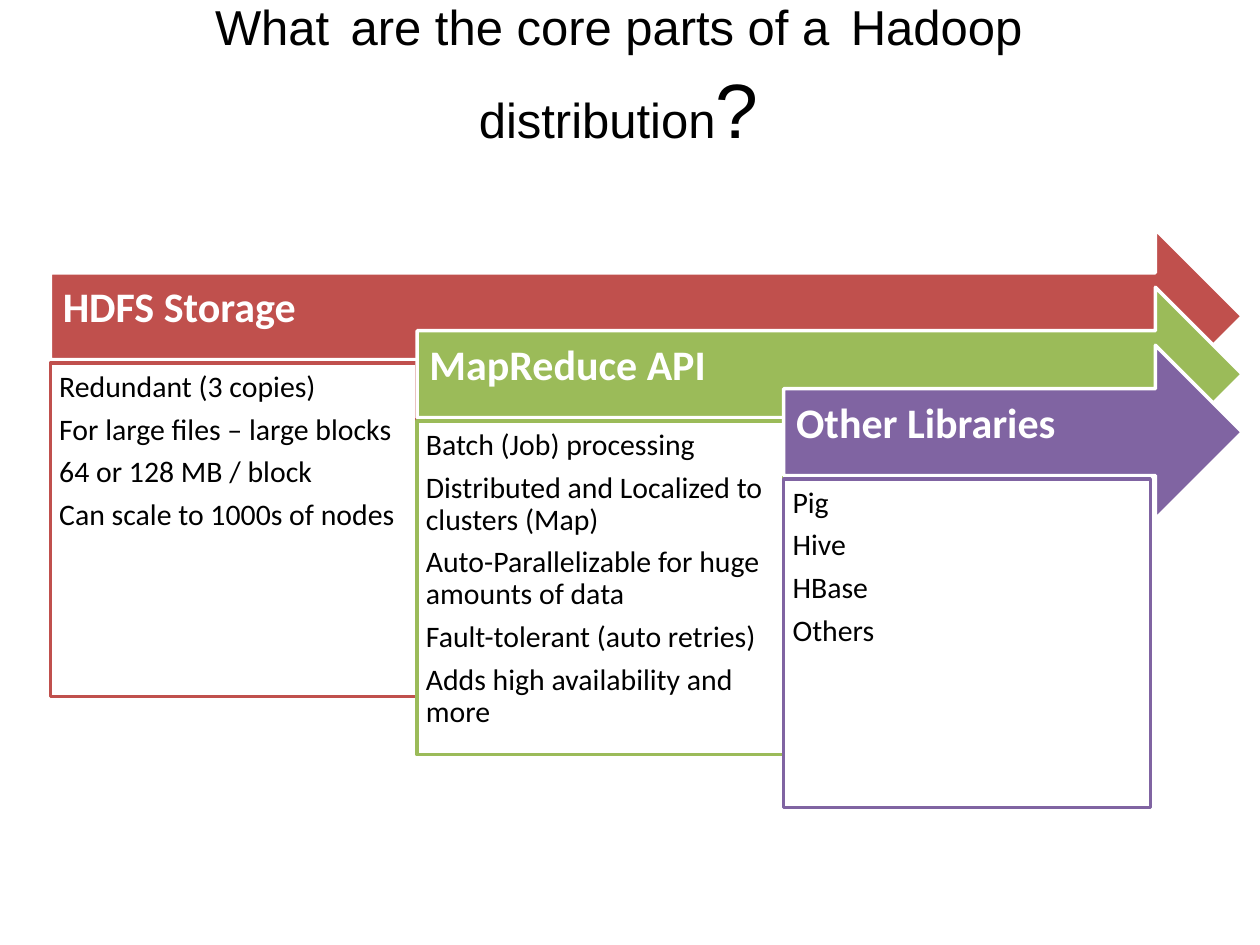
from pptx import Presentation
from pptx.dml.color import RGBColor
from pptx.enum.shapes import MSO_SHAPE
from pptx.enum.text import MSO_ANCHOR, PP_ALIGN
from pptx.util import Inches, Pt

COLORS = {"white": "FFFFFF", "black": "000000", "red": "C0504D",
          "green": "9BBB59", "purple": "8064A2"}

# Content: title runs as (text, size); parts as (heading, colour, detail height, details)
TITLE = [("What", 28), (" ", 44), ("are the core parts of a", 28), (" ", 44),
         ("Hadoop distribution", 28), ("?", 44)]
PARTS = [
    ("HDFS Storage", "red", 2.65, [
        "Redundant (3 copies)", "For large files – large blocks",
        "64 or 128 MB / block", "Can scale to 1000s of nodes"]),
    ("MapReduce API", "green", 2.65, [
        "Batch (Job) processing", "Distributed and Localized to clusters (Map)",
        "Auto-Parallelizable for huge amounts of data",
        "Fault-tolerant (auto retries)", "Adds high availability and more"]),
    ("Other Libraries", "purple", 2.61, ["Pig", "Hive", "HBase", "Others"]),
]

# Layout in inches
LEFT, TOP = 0.4, 1.82
ARROW_RIGHT, ARROW_HEIGHT = 9.86, 1.38
DETAIL_WIDTH, DETAIL_DROP = 2.91, 1.06
STEP_DOWN = 0.46


def rgb(name):
    return RGBColor.from_string(COLORS[name])


def write(shape, paragraphs, *, font, color, insets, bold=False, spacing=0.9,
          after=0, align=PP_ALIGN.LEFT, anchor=MSO_ANCHOR.TOP):
    """Fill a shape with paragraphs, each a list of (text, size) runs."""
    frame = shape.text_frame
    frame.word_wrap = True
    frame.vertical_anchor = anchor
    (frame.margin_left, frame.margin_top,
     frame.margin_right, frame.margin_bottom) = map(Inches, insets)
    for i, runs in enumerate(paragraphs):
        paragraph = frame.add_paragraph() if i else frame.paragraphs[0]
        paragraph.alignment = align
        paragraph.line_spacing = spacing
        paragraph.space_after = Pt(after)
        for text, size in runs:
            run = paragraph.add_run()
            run.text = text
            run.font.name = font
            run.font.size = Pt(size)
            run.font.bold = bold
            run.font.color.rgb = rgb(color)


def add_block(slide, preset, box, fill, line):
    block = slide.shapes.add_shape(preset, *map(Inches, box))
    block.shadow.inherit = False
    block.fill.solid()
    block.fill.fore_color.rgb = rgb(fill)
    block.line.color.rgb = rgb(line)
    block.line.width = Pt(2)
    return block


def main():
    deck = Presentation()
    deck.slide_width, deck.slide_height = Inches(10), Inches(7.5)
    slide = deck.slides.add_slide(deck.slide_layouts[6])

    # Title
    title = slide.shapes.add_textbox(*map(Inches, (0.53, 0.25, 8.76, 0.47)))
    write(title, [TITLE], font="Arial", color="black", insets=(0.1, 0.05, 0.1, 0.05),
          spacing=Pt(53), align=PP_ALIGN.CENTER, anchor=MSO_ANCHOR.MIDDLE)

    # Stepped arrows, each with its detail box below
    for i, (heading, color, detail_height, details) in enumerate(PARTS):
        left, top = LEFT + i * DETAIL_WIDTH, TOP + i * STEP_DOWN
        arrow = add_block(slide, MSO_SHAPE.RIGHT_ARROW,
                          (left, top, ARROW_RIGHT - left, ARROW_HEIGHT), color, "white")
        write(arrow, [[(heading, 24)]], font="Calibri", color="white", bold=True,
              insets=(0.1, 0.1, 0.28, 0.22), anchor=MSO_ANCHOR.MIDDLE)
        detail = add_block(slide, MSO_SHAPE.RECTANGLE,
                           (left, top + DETAIL_DROP, DETAIL_WIDTH, detail_height),
                           "white", color)
        write(detail, [[(text, 17)] for text in details], font="Calibri",
              color="black", insets=(0.07,) * 4, after=6)

    deck.save("out.pptx")


if __name__ == "__main__":
    main()
